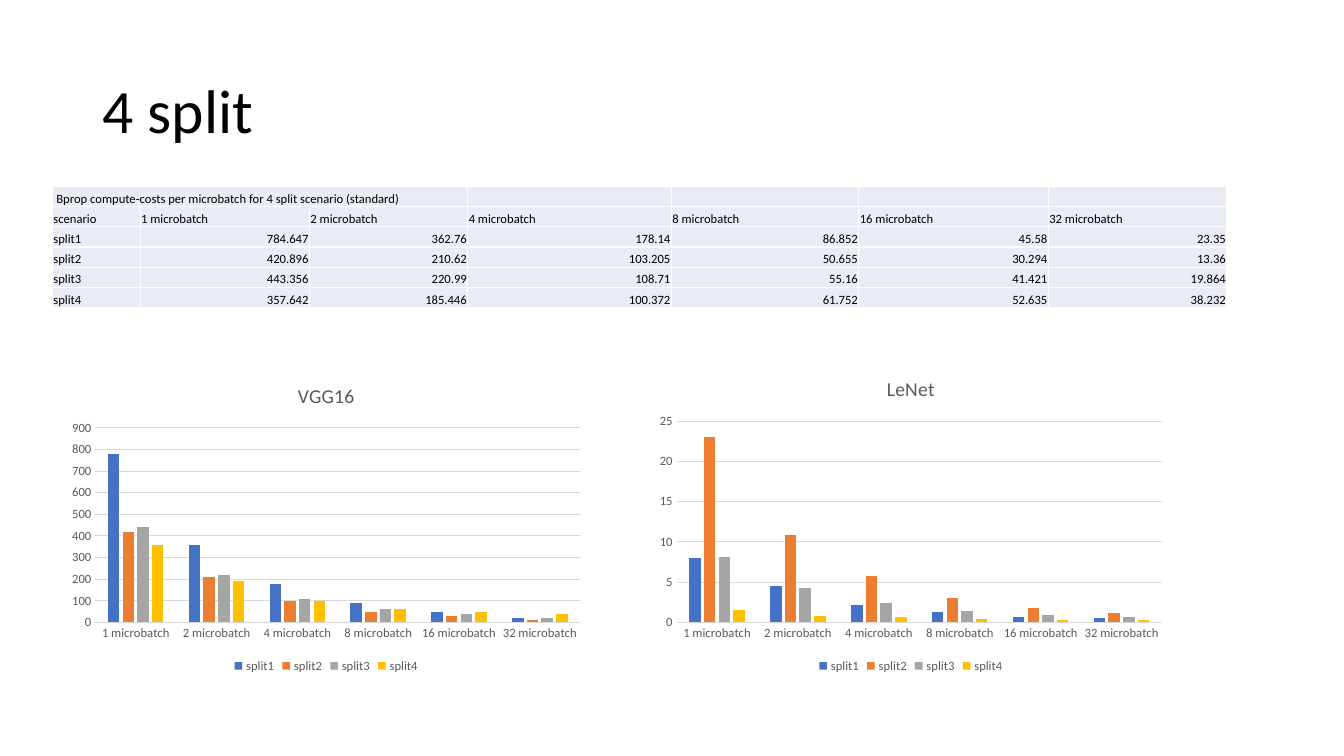
from lxml import etree
from pptx import Presentation
from pptx.chart.data import CategoryChartData
from pptx.dml.color import RGBColor
from pptx.enum.chart import XL_CHART_TYPE, XL_LEGEND_POSITION, XL_TICK_MARK
from pptx.enum.text import MSO_ANCHOR, MSO_AUTO_SIZE, PP_ALIGN
from pptx.oxml.ns import qn
from pptx.util import Inches, Pt

COLUMN = XL_CHART_TYPE.COLUMN_CLUSTERED
BOTTOM = XL_LEGEND_POSITION.BOTTOM
NO_TICK = XL_TICK_MARK.NONE
MIDDLE, LOW = MSO_ANCHOR.MIDDLE, MSO_ANCHOR.BOTTOM
LEFT, RIGHT = PP_ALIGN.LEFT, PP_ALIGN.RIGHT
NO_FIT = MSO_AUTO_SIZE.NONE

BLACK = RGBColor(0x00, 0x00, 0x00)
GRAY = RGBColor(0x59, 0x59, 0x59)
RULE = RGBColor(0xD9, 0xD9, 0xD9)
PALE = RGBColor(0xE9, 0xEB, 0xF5)
BLUE = RGBColor(0x44, 0x72, 0xC4)
ORANGE = RGBColor(0xED, 0x7D, 0x31)
SILVER = RGBColor(0xA5, 0xA5, 0xA5)
GOLD = RGBColor(0xFF, 0xC0, 0x00)

BATCHES = [f"{2 ** n} microbatch" for n in range(6)]
SPLITS = [f"split{n}" for n in range(1, 5)]
CAPTION = "Bprop compute-costs per microbatch for 4 split scenario (standard)"
COSTS = [
    ["784.647", "362.76", "178.14", "86.852", "45.58", "23.35"],
    ["420.896", "210.62", "103.205", "50.655", "30.294", "13.36"],
    ["443.356", "220.99", "108.71", "55.16", "41.421", "19.864"],
    ["357.642", "185.446", "100.372", "61.752", "52.635", "38.232"],
]
WIDTHS = [6.53, 12.6, 11.78, 15.15, 13.95, 14.1, 13.28]
VGG = [
    [780, 360, 180, 90, 50, 20],
    [420, 210, 100, 50, 30, 10],
    [440, 220, 110, 60, 40, 20],
    [360, 190, 100, 60, 50, 40],
]
LENET = [
    [8, 4.5, 2.1, 1.3, 0.7, 0.5],
    [23, 10.9, 5.7, 3, 1.8, 1.1],
    [8.1, 4.3, 2.4, 1.4, 0.9, 0.7],
    [1.5, 0.8, 0.6, 0.4, 0.3, 0.3],
]


class Page:
    """Draws styled elements on one slide, with lengths in percent of its size."""

    face = "Calibri"
    hues = (BLUE, ORANGE, SILVER, GOLD)

    def __init__(self, deck):
        self.wide, self.high = deck.slide_width, deck.slide_height
        self.slide = deck.slides.add_slide(deck.slide_layouts[5])

    def across(self, share):
        return round(self.wide * share / 100)

    def down(self, share):
        return round(self.high * share / 100)

    def box(self, x, y, w, h):
        return self.across(x), self.down(y), self.across(w), self.down(h)

    def style(self, font, size, color):
        font.name, font.size, font.bold = self.face, Pt(size), False
        font.color.rgb = color

    def words(self, para, text, size, color=BLACK, align=LEFT):
        para.alignment = align
        run = para.add_run()
        run.text = text
        self.style(run.font, size, color)

    def title(self, text, *area):
        shape = self.slide.shapes.title
        shape.left, shape.top, shape.width, shape.height = self.box(*area)
        frame = shape.text_frame
        frame.auto_size, frame.vertical_anchor = NO_FIT, MIDDLE
        para = frame.paragraphs[0]
        para.line_spacing = 0.9
        self.words(para, text, 44)

    def cell(self, cell, text, align, inset=0.01):
        cell.fill.solid()
        cell.fill.fore_color.rgb = PALE
        cell.vertical_anchor = LOW
        cell.margin_left = Inches(inset)
        cell.margin_right = cell.margin_top = Inches(0.01)
        cell.margin_bottom = 0
        para = cell.text_frame.paragraphs[0]
        if text:
            self.words(para, text, 9, align=align)
        else:
            etree.SubElement(para._p, qn("a:endParaRPr"), sz="900")

    def table(self, caption, rows, widths, *area):
        count = len(rows) + 1
        grid = self.slide.shapes.add_table(count, len(widths), *self.box(*area)).table
        grid.first_row = grid.horz_banding = False
        for col, share in zip(grid.columns, widths):
            col.width = self.across(share)
        for c in range(len(widths)):
            self.cell(grid.cell(0, c), "" if c else caption, LEFT, 0.04)
        grid.cell(0, 0).merge(grid.cell(0, 2))
        for r, row in enumerate(rows, 1):
            for c, text in enumerate(row):
                self.cell(grid.cell(r, c), text, RIGHT if r > 1 and c else LEFT)

    def axis(self, axis):
        axis.major_tick_mark = axis.minor_tick_mark = NO_TICK
        self.style(axis.tick_labels.font, 9, GRAY)

    def line(self, line):
        line.color.rgb, line.width = RULE, Pt(0.75)

    def chart(self, name, rows, top, step, *area):
        data = CategoryChartData()
        data.categories = BATCHES
        for split, row in zip(SPLITS, rows):
            data.add_series(split, row)
        chart = self.slide.shapes.add_chart(COLUMN, *self.box(*area), data).chart
        self.style(chart.font, 10, BLACK)
        self.words(chart.chart_title.text_frame.paragraphs[0], name, 14, GRAY, None)
        chart.has_legend = True
        chart.legend.position = BOTTOM
        chart.legend.include_in_layout = False
        self.style(chart.legend.font, 9, GRAY)
        cats, vals = chart.category_axis, chart.value_axis
        self.axis(cats)
        self.axis(vals)
        self.line(cats.format.line)
        vals.format.line.fill.background()
        self.line(vals.major_gridlines.format.line)
        vals.minimum_scale, vals.maximum_scale, vals.major_unit = 0, top, step
        plot = chart.plots[0]
        plot.gap_width, plot.overlap, plot.vary_by_categories = 219, -27, False
        for bars, hue in zip(plot.series, self.hues):
            bars.format.fill.solid()
            bars.format.fill.fore_color.rgb = hue


def main():
    deck = Presentation()
    deck.slide_width, deck.slide_height = Inches(13.33), Inches(7.5)
    page = Page(deck)
    page.title("4 split", 6.9, 5.33, 86.25, 19.33)
    rows = [["scenario", *BATCHES]]
    rows += [[split, *costs] for split, costs in zip(SPLITS, COSTS)]
    page.table(CAPTION, rows, WIDTHS, 3.9, 24.67, 87.39, 16)
    page.chart("VGG16", VGG, 900, 100, 4.58, 48.53, 39.38, 41.07)
    page.chart("LeNet", LENET, 25, 5, 48.31, 47.6, 38.93, 42)
    deck.save("out.pptx")


if __name__ == "__main__":
    main()
